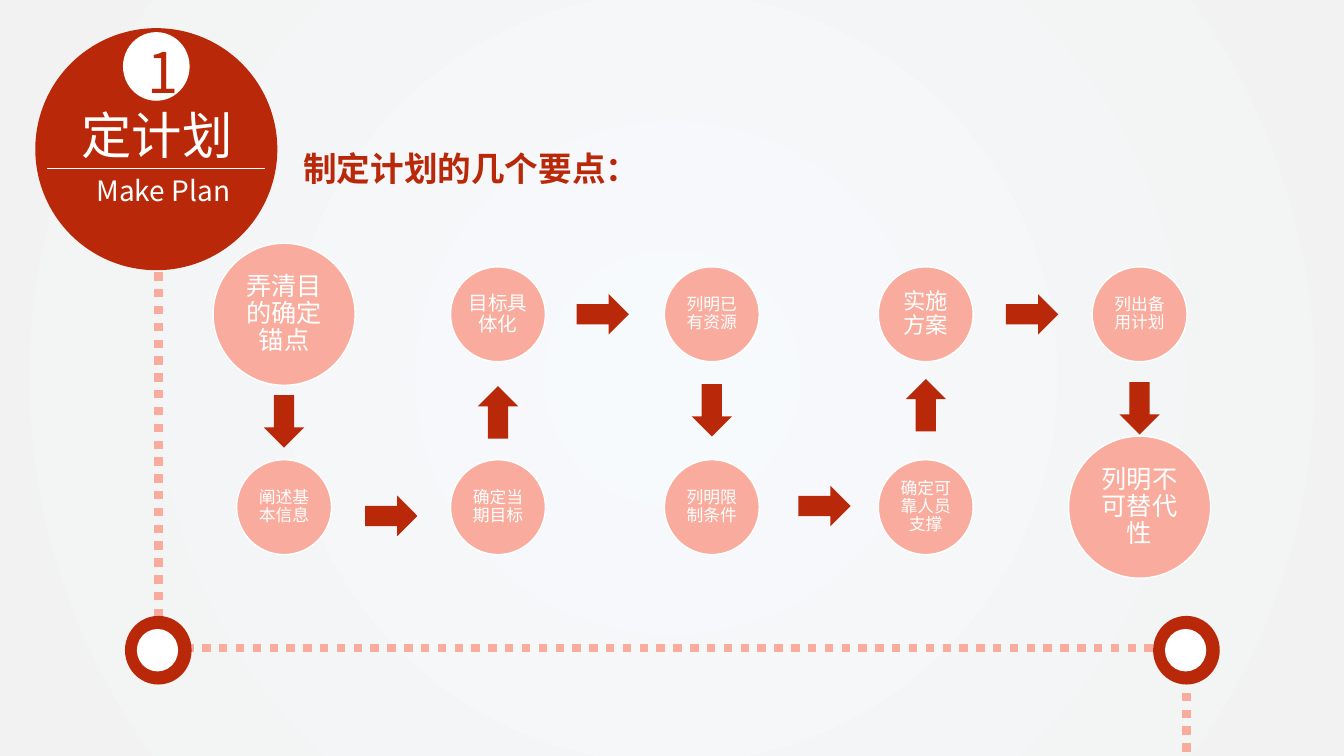
from lxml import etree
from pptx import Presentation
from pptx.dml.color import RGBColor
from pptx.enum.dml import MSO_LINE
from pptx.enum.shapes import MSO_CONNECTOR, MSO_SHAPE
from pptx.enum.text import MSO_ANCHOR, MSO_AUTO_SIZE, PP_ALIGN
from pptx.oxml.ns import qn
from pptx.util import Cm, Pt

RED = RGBColor(0xB9, 0x29, 0x09)
PINK = RGBColor(0xF9, 0xAC, 0x9D)
WHITE = RGBColor(0xFF, 0xFF, 0xFF)
CENTRE_TINT = RGBColor(0xF7, 0xFA, 0xFD)
EDGE_GREY = RGBColor(0xF2, 0xF2, 0xF2)
FONT = "Noto Sans CJK SC"

OVAL, ARROW = MSO_SHAPE.OVAL, MSO_SHAPE.DOWN_ARROW
STRAIGHT = MSO_CONNECTOR.STRAIGHT
DOTTED = MSO_LINE.ROUND_DOT
LEFT, CENTER = PP_ALIGN.LEFT, PP_ALIGN.CENTER
TOP, MIDDLE = MSO_ANCHOR.TOP, MSO_ANCHOR.MIDDLE
NO_AUTOSIZE = MSO_AUTO_SIZE.NONE

SMALL, LARGE = 2.39, 3.58  # step diameters, cm
COLUMN_PITCH, ROW_PITCH = 5.39, 4.86
# text, column, row, diameter, font size
STEPS = [
    ("弄清目的确定锚点", 0, 0, LARGE, 18),
    ("阐述基本信息", 0, 1, SMALL, 12),
    ("确定当期目标", 1, 1, SMALL, 12),
    ("目标具体化", 1, 0, SMALL, 14),
    ("列明已有资源", 2, 0, SMALL, 12),
    ("列明限制条件", 2, 1, SMALL, 12),
    ("确定可靠人员支撑", 3, 1, SMALL, 12),
    ("实施方案", 3, 0, SMALL, 16),
    ("列出备用计划", 4, 0, SMALL, 12),
    ("列明不可替代性", 4, 1, LARGE, 18),
]
DOWN, UP, RIGHT = 0, 180, 270
# centre measured from the first step's centre, rotation
ARROWS = [
    (0, 2.7, DOWN), (2.7, 5.08, RIGHT),
    (COLUMN_PITCH, 2.47, UP), (8.03, 0, RIGHT),
    (2 * COLUMN_PITCH, 2.42, DOWN), (13.62, 4.83, RIGHT),
    (3 * COLUMN_PITCH, 2.29, UP), (18.85, 0, RIGHT),
    (4 * COLUMN_PITCH, 2.37, DOWN),
]


def write(shape, text, size, color, align=LEFT, anchor=TOP, bold=False):
    frame = shape.text_frame
    frame.text = text
    frame.auto_size = NO_AUTOSIZE
    frame.vertical_anchor = anchor
    para = frame.paragraphs[0]
    para.alignment = align
    span = para.runs[0]
    span.font.size = Pt(size)
    span.font.bold = bold
    span.font.color.rgb = color
    span.font.name = FONT
    east_asian = etree.SubElement(span.font._element, qn("a:ea"))
    east_asian.set("typeface", FONT)


def add_label(page, left, top, width, height, wrap, *style):
    box = page.shapes.add_textbox(Cm(left), Cm(top), Cm(width), Cm(height))
    box.text_frame.word_wrap = wrap
    write(box, *style)


def add_filled(page, kind, left, top, width, height, color):
    shape = page.shapes.add_shape(kind, Cm(left), Cm(top), Cm(width), Cm(height))
    shape.shadow.inherit = False
    shape.fill.solid()
    shape.fill.fore_color.rgb = color
    shape.line.fill.background()
    return shape


def add_line(page, x1, y1, x2, y2, color, width, dash=None):
    line = page.shapes.add_connector(STRAIGHT, Cm(x1), Cm(y1), Cm(x2), Cm(y2))
    line.line.color.rgb = color
    line.line.width = Pt(width)
    if dash is not None:
        line.line.dash_style = dash
    etree.SubElement(line._element.spPr, qn("a:effectLst"))


def paint_background(page):
    fill = page.background.fill
    fill.gradient()
    for stop, color in zip(fill.gradient_stops, (CENTRE_TINT, EDGE_GREY)):
        stop.color.rgb = color
    # Radial shading from the centre of the page
    linear = next(page.element.iter(qn("a:lin")))
    radial = etree.Element(qn("a:path"), path="circle")
    etree.SubElement(radial, qn("a:fillToRect"), l="50000", t="50000", r="50000", b="50000")
    linear.getparent().replace(linear, radial)


def place_title(page, left, top, width, height):
    title = page.shapes.title
    title.left, title.top = Cm(left), Cm(top)
    title.width, title.height = Cm(width), Cm(height)
    write(title, "制定计划的几个要点：", 24, RED, bold=True)


def draw_badge(page, left, top, size):
    add_filled(page, OVAL, left, top, size, size, RED)
    add_filled(page, OVAL, left + 2.21, top + 0.1, 1.68, 1.73, WHITE)
    add_label(page, left + 2.59, top + 0.1, 0.97, 1.96, False, "1", 40, RED)
    add_label(page, left + 1.29, top + 3.53, 4.04, 1.12, False, "Make Plan", 20, WHITE)
    add_label(page, left + 0.13, top + 1.8, 5.87, 1.8, True, "定计划", 36, WHITE, CENTER)
    add_line(page, left + 0.3, top + 3.53, left + 5.79, top + 3.53, WHITE, 0.75)


def draw_track(page, left, top, width, height):
    right, bottom = left + width, top + height
    level = top + 9.47
    # Dotted route
    add_line(page, left, top, left, level - 0.28, PINK, 6, DOTTED)
    add_line(page, right, level, left, level, PINK, 6, DOTTED)
    add_line(page, right, level + 0.28, right, bottom, PINK, 6, DOTTED)
    # Ring stations
    for x in (left, right):
        add_filled(page, OVAL, x - 0.84, level - 0.81, 1.68, 1.73, RED)
        add_filled(page, OVAL, x - 0.54, level - 0.48, 1.04, 1.07, WHITE)


def draw_steps(page, left, top):
    first_x, first_y = left + LARGE / 2, top + LARGE / 2
    # Step circles
    for text, column, row, size, font_size in STEPS:
        x = first_x + column * COLUMN_PITCH - size / 2
        y = first_y + row * ROW_PITCH - size / 2
        circle = add_filled(page, OVAL, x, y, size, size, PINK)
        circle.line.color.rgb = WHITE
        circle.line.width = Pt(1)
        frame = circle.text_frame
        frame.word_wrap = True
        frame.margin_left = frame.margin_right = Cm(0.05)
        frame.margin_top = frame.margin_bottom = Cm(0.05)
        write(circle, text, font_size, WHITE, CENTER, MIDDLE)
        frame.paragraphs[0].line_spacing = 0.9
    # Arrows between steps
    width, height = 1.02, 1.32
    for x, y, rotation in ARROWS:
        arrow = add_filled(page, ARROW, first_x + x - width / 2,
                           first_y + y - height / 2, width, height, RED)
        arrow.rotation = rotation


def main():
    deck = Presentation()
    deck.slide_width, deck.slide_height = Cm(33.87), Cm(19.05)
    page = deck.slides.add_slide(deck.slide_layouts[5])
    paint_background(page)
    place_title(page, 7.39, 3.61, 9.04, 1.27)
    draw_badge(page, 0.89, 0.71, 6.1)
    draw_track(page, 3.99, 6.86, 25.91, 12.19)
    draw_steps(page, 5.37, 6.13)
    deck.save("out.pptx")


if __name__ == "__main__":
    main()
